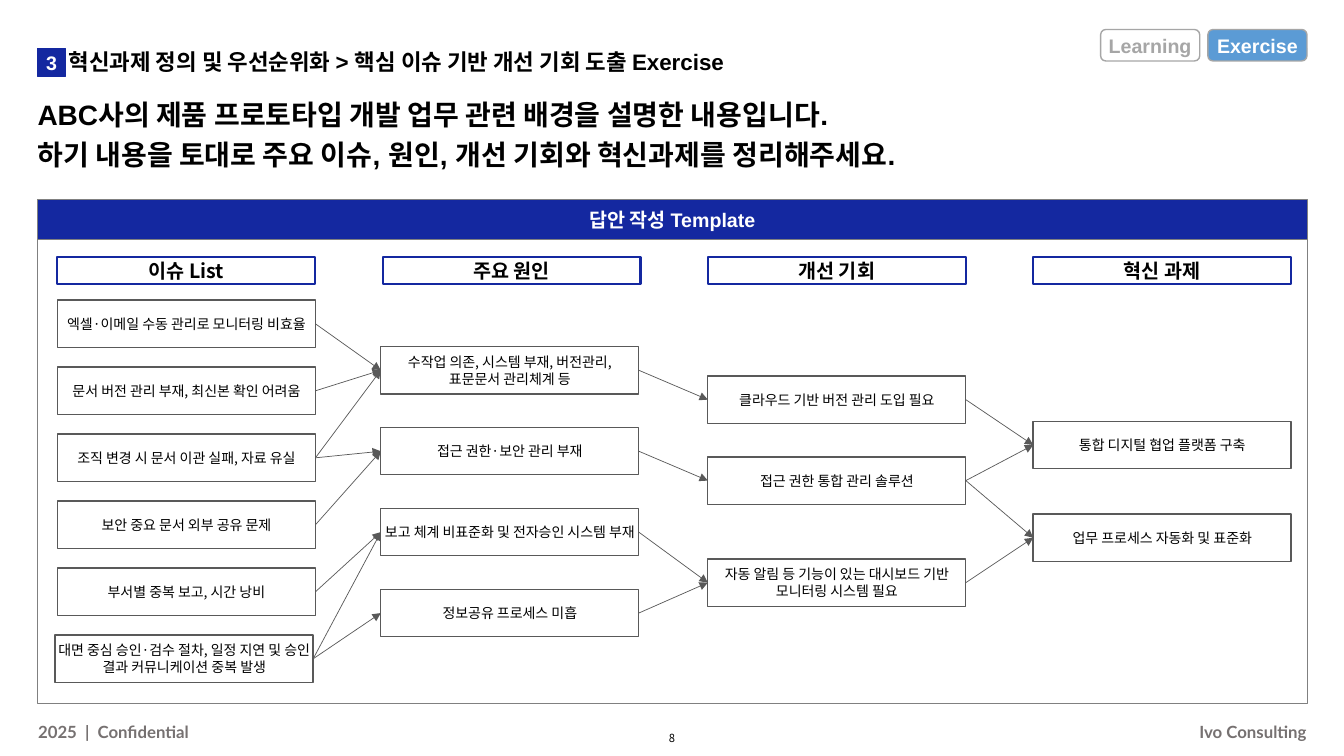
from lxml.etree import SubElement
from pptx import Presentation
from pptx.dml.color import RGBColor
from pptx.enum.shapes import MSO_CONNECTOR, MSO_SHAPE
from pptx.enum.text import MSO_ANCHOR as Anchor, PP_ALIGN as Align
from pptx.oxml.ns import qn
from pptx.util import Pt

NAVY, GRAY, WHITE, BLACK = "1428A0", "595959", "FFFFFF", "000000"
KOREAN = "Noto Sans CJK KR"
LEFT_EDGE, PANEL_WIDTH = 26.8, 907
BOX_WIDTH, BOX_HEIGHT = 184.3, 33.8
HEADER_TOP, HEADER_HEIGHT = 183.5, 19.7
LEFT_SITE, RIGHT_SITE = 1, 3

# Each column: heading, heading left, boxes as (text, left, top)
COLUMNS = [
    ("이슈 List", 41, [
        (text, left, 214.4 + 47.86 * row) for row, (text, left) in enumerate([
            ("엑셀·이메일 수동 관리로 모니터링 비효율", 41),
            ("문서 버전 관리 부재, 최신본 확인 어려움", 41),
            ("조직 변경 시 문서 이관 실패, 자료 유실", 41),
            ("보안 중요 문서 외부 공유 문제", 41),
            ("부서별 중복 보고, 시간 낭비", 41),
            ("대면 중심 승인·검수 절차, 일정 지연 및 승인 결과 커뮤니케이션 중복 발생", 39.4),
        ])]),
    ("주요 원인", 273.3, [
        (text, 272, 247.6 + 57.8 * row) for row, text in enumerate([
            "수작업 의존, 시스템 부재, 버전관리, 표문문서 관리체계 등",
            "접근 권한·보안 관리 부재",
            "보고 체계 비표준화 및 전자승인 시스템 부재",
            "정보공유 프로세스 미흡",
        ])]),
    ("개선 기회", 505.6, [
        ("클라우드 기반 버전 관리 도입 필요", 505.6, 268.6),
        ("접근 권한 통합 관리 솔루션", 505.6, 326.4),
        ("자동 알림 등 기능이 있는 대시보드 기반 모니터링 시스템 필요", 505.6, 399.3),
    ]),
    ("혁신 과제", 738, [
        ("통합 디지털 협업 플랫폼 구축", 738, 301),
        ("업무 프로세스 자동화 및 표준화", 738, 367.2),
    ]),
]
# For each gap between columns: (row on the left, row on the right)
LINKS = [
    [(0, 0), (1, 0), (2, 0), (2, 1), (3, 1), (4, 2), (5, 2), (5, 3)],
    [(0, 0), (1, 1), (2, 2), (3, 2)],
    [(0, 0), (1, 0), (1, 1), (2, 1)],
]


def rgb(color):
    return RGBColor.from_string(color)


def write_text(shape, text, size=10, font=KOREAN, color=BLACK, bold=False,
               align=Align.CENTER, anchor=Anchor.MIDDLE, spacing=None,
               insets=(0, 0, 0, 0), wrap=True):
    frame = shape.text_frame
    frame.word_wrap = wrap
    frame.vertical_anchor = anchor
    (frame.margin_left, frame.margin_top,
     frame.margin_right, frame.margin_bottom) = map(Pt, insets)
    para = frame.paragraphs[0]
    para.text = text
    para.alignment = align
    para.line_spacing = spacing
    for span in para.runs:
        span.font.size = Pt(size)
        span.font.name = font
        span.font.bold = bold
        span.font.color.rgb = rgb(color)
        east_asian = SubElement(span.font._element, qn("a:ea"))
        east_asian.set("typeface", KOREAN)


def add_label(slide, text, left, top, width, height, **text_format):
    box = slide.shapes.add_textbox(Pt(left), Pt(top), Pt(width), Pt(height))
    write_text(box, text, **text_format)


def add_box(slide, text, left, top, width, height, fill=WHITE, line=GRAY,
            weight=1, kind=MSO_SHAPE.RECTANGLE, **text_format):
    box = slide.shapes.add_shape(kind, Pt(left), Pt(top), Pt(width), Pt(height))
    box.shadow.inherit = False
    box.fill.solid()
    box.fill.fore_color.rgb = rgb(fill)
    box.line.color.rgb = rgb(line)
    box.line.width = Pt(weight)
    if text:
        write_text(box, text, **text_format)
    return box


def add_arrow(slide, source, target):
    arrow = slide.shapes.add_connector(MSO_CONNECTOR.STRAIGHT, 0, 0, 0, 0)
    arrow.begin_connect(source, RIGHT_SITE)
    arrow.end_connect(target, LEFT_SITE)
    arrow.line.color.rgb = rgb(GRAY)
    arrow.line.width = Pt(0.5)
    SubElement(arrow.line._get_or_add_ln(), qn("a:tailEnd"), type="triangle")
    SubElement(arrow._element.spPr, qn("a:effectLst"))


def add_heading(slide):
    add_label(slide, "혁신과제 정의 및 우선순위화 > 핵심 이슈 기반 개선 기회 도출 Exercise",
              LEFT_EDGE, 33.1, 828, 24.5, size=16, font="Arial", bold=True,
              align=Align.LEFT, anchor=Anchor.TOP, spacing=0.9,
              insets=(22.3, 3.6, 7.2, 3.6))
    add_box(slide, "3", LEFT_EDGE, 34.5, 20, 20, fill=NAVY, line=NAVY,
            size=14, font="Arial", color=WHITE, bold=True)
    add_label(slide, "ABC사의 제품 프로토타입 개발 업무 관련 배경을 설명한 내용입니다. \v"
              "하기 내용을 토대로 주요 이슈, 원인, 개선 기회와 혁신과제를 정리해주세요.",
              LEFT_EDGE, 61.2, PANEL_WIDTH, 38.2, size=20, font="Arial", bold=True,
              align=Align.LEFT, anchor=Anchor.TOP, spacing=1.2,
              insets=(0, 3.6, 7.2, 3.6))
    for text, left, fill, color in [("Learning", 786.2, WHITE, "A6A6A6"),
                                    ("Exercise", 862.8, "5B9BD5", WHITE)]:
        add_box(slide, text, left, 21.1, 70.8, 22.5, fill=fill, line="A6A6A6",
                kind=MSO_SHAPE.ROUNDED_RECTANGLE, size=14, font="Arial",
                color=color, bold=True)


def add_panel(slide):
    add_box(slide, "답안 작성 Template", LEFT_EDGE, 142.6, PANEL_WIDTH, 28.2,
            fill=NAVY, line="808080", weight=0.5, size=14, font="Arial",
            color=WHITE, bold=True)
    add_box(slide, "", LEFT_EDGE, 170.8, PANEL_WIDTH, 331.6,
            line="808080", weight=0.5)


def add_issue_map(slide):
    columns = []
    for heading, heading_left, entries in COLUMNS:
        add_box(slide, heading, heading_left, HEADER_TOP, BOX_WIDTH, HEADER_HEIGHT,
                line=NAVY, weight=1.5, size=14, bold=True)
        columns.append([add_box(slide, text, left, top, BOX_WIDTH, BOX_HEIGHT)
                        for text, left, top in entries])
    for sources, targets, pairs in zip(columns, columns[1:], LINKS):
        for source, target in pairs:
            add_arrow(slide, sources[source], targets[target])


def add_footer(slide):
    for text, left, align in [("2025  |  Confidential", LEFT_EDGE + 0.4, Align.LEFT),
                              ("Ivo Consulting", 713.6, Align.RIGHT)]:
        add_label(slide, text, left, 514, 219.8, 17.3, size=12, font="Lato",
                  color="767171", bold=True, align=align, spacing=1.05,
                  insets=(0, 3.6, 0, 3.6), wrap=False)
    add_label(slide, "8", 471.4, 519.8, 17.3, 14.4, size=8)


def main():
    deck = Presentation()
    deck.slide_width, deck.slide_height = Pt(960), Pt(540)
    slide = deck.slides.add_slide(deck.slide_layouts[6])
    add_footer(slide)
    add_panel(slide)
    add_heading(slide)
    add_issue_map(slide)
    deck.save("out.pptx")


if __name__ == "__main__":
    main()
